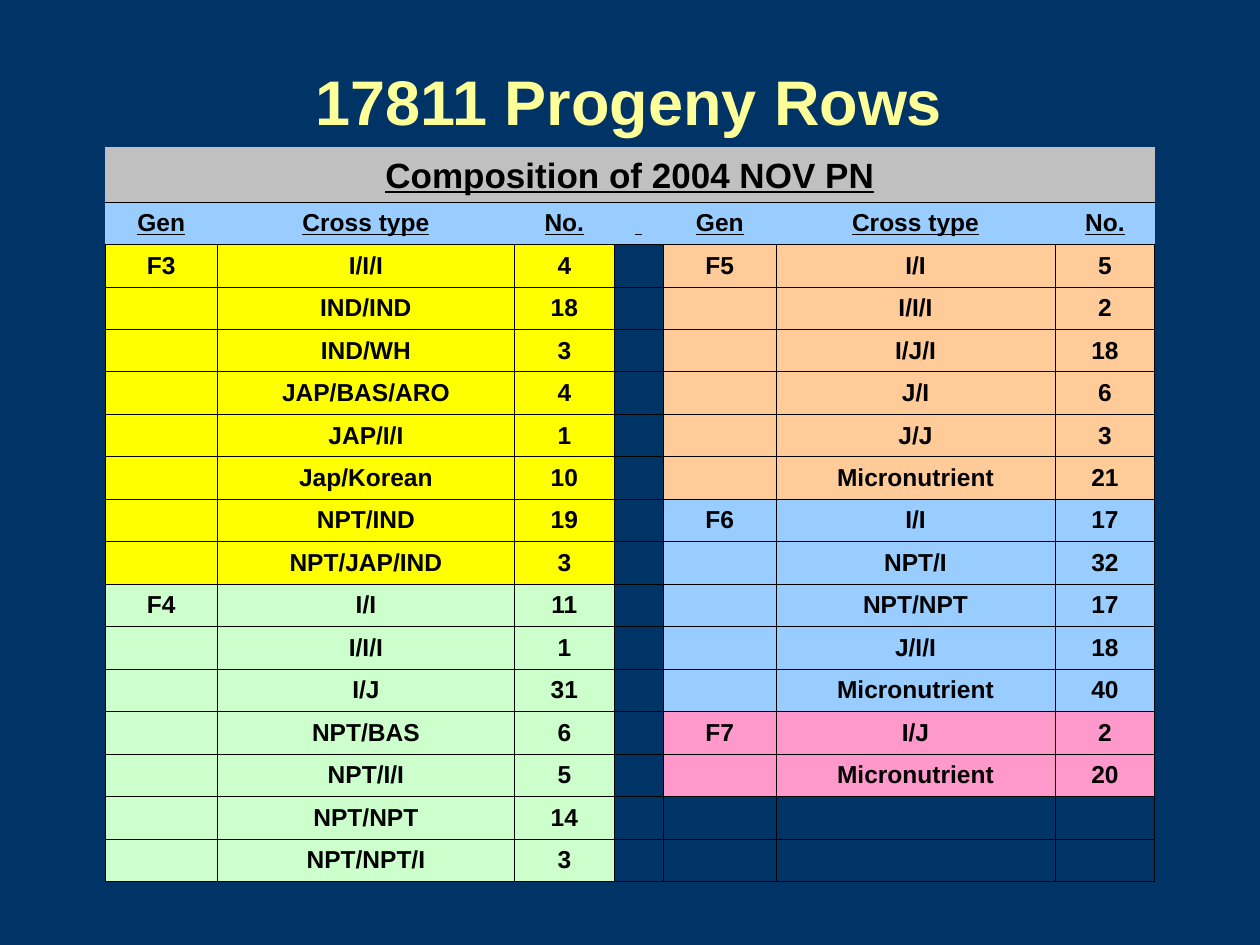
"""Build the slide listing the composition of the 2004 NOV progeny rows."""
from itertools import zip_longest

from lxml.etree import SubElement
from pptx import Presentation
from pptx.dml.color import RGBColor as Color
from pptx.enum.text import MSO_ANCHOR as Anchor, MSO_AUTO_SIZE as AutoSize, PP_ALIGN as Align
from pptx.oxml.ns import qn
from pptx.util import Pt

TITLE = "17811 Progeny Rows"
CAPTION = "Composition of 2004 NOV PN"
HEADINGS = ["Gen", "Cross type", "No."]
LEFT = {
    "F3": [("I/I/I", 4), ("IND/IND", 18), ("IND/WH", 3), ("JAP/BAS/ARO", 4),
           ("JAP/I/I", 1), ("Jap/Korean", 10), ("NPT/IND", 19), ("NPT/JAP/IND", 3)],
    "F4": [("I/I", 11), ("I/I/I", 1), ("I/J", 31), ("NPT/BAS", 6),
           ("NPT/I/I", 5), ("NPT/NPT", 14), ("NPT/NPT/I", 3)],
}
RIGHT = {
    "F5": [("I/I", 5), ("I/I/I", 2), ("I/J/I", 18), ("J/I", 6), ("J/J", 3),
           ("Micronutrient", 21)],
    "F6": [("I/I", 17), ("NPT/I", 32), ("NPT/NPT", 17), ("J/I/I", 18),
           ("Micronutrient", 40)],
    "F7": [("I/J", 2), ("Micronutrient", 20)],
}
THEME = {
    "font": "Arial", "title_size": 36, "caption_size": 20, "cell_size": 14,
    "background": "003366", "title": "FFFF99", "ink": "000000",
    "caption": "C0C0C0", "heading": "99CCFF", "border": 0.45,
    "F3": "FFFF00", "F4": "CCFFCC", "F5": "FFCC99", "F6": "99CCFF", "F7": "FF99CC",
}
TITLE_BOX = (162, 12.5, 383.75, 90)
TABLE_LEFT, TABLE_TOP = 60, 84
COLUMN_WIDTHS = [64.25, 169.75, 57, 28.25, 64.25, 159.5, 57]
CAPTION_HEIGHT, ROW_HEIGHT = 31.5, 24.18
NO_STYLE = "{2D5ABB26-0587-4C30-8999-92F81FD0307C}"
TEXTLESS = ("", None)


def format_font(font, size, color, underline=False):
    values = {"name": THEME["font"], "size": Pt(size), "bold": True, "underline": underline}
    for name, value in values.items():
        setattr(font, name, value)
    font.color.rgb = Color.from_string(color)


def add_borders(cell, sides):
    properties = cell._tc.get_or_add_tcPr()
    for side in sides:
        line = SubElement(properties, qn(f"a:ln{side}"), w=str(Pt(THEME["border"])))
        fill = SubElement(line, qn("a:solidFill"))
        SubElement(fill, qn("a:srgbClr"), val=THEME["ink"])


def fill_cell(cell, text, color, sides="LRTB", size=THEME["cell_size"],
              underline=False, anchor=Anchor.MIDDLE):
    add_borders(cell, sides)
    if color:
        cell.fill.solid()
        cell.fill.fore_color.rgb = Color.from_string(color)
    else:
        cell.fill.background()
    cell.vertical_anchor = anchor
    para = cell.text_frame.paragraphs[0]
    para.alignment = Align.CENTER
    if text:
        span = para.add_run()
        span.text = text
        format_font(span.font, size, THEME["ink"], underline)
    else:
        SubElement(para._p, qn("a:endParaRPr"), sz=str(size * 100))


def side_rows(groups):
    return [[(generation if index == 0 else "", THEME[generation]),
             (cross, THEME[generation]), (str(number), THEME[generation])]
            for generation, crosses in groups.items()
            for index, (cross, number) in enumerate(crosses)]


def add_title(page):
    box = page.shapes.title
    box.left, box.top, box.width, box.height = map(Pt, TITLE_BOX)
    frame = box.text_frame
    frame.auto_size = AutoSize.NONE
    frame.vertical_anchor = Anchor.MIDDLE
    para = frame.paragraphs[0]
    para.alignment = Align.RIGHT
    span = para.add_run()
    span.text = TITLE
    format_font(span.font, THEME["title_size"], THEME["title"])


def add_composition(page):
    rows = [[*left, TEXTLESS, *right] for left, right in zip_longest(
        side_rows(LEFT), side_rows(RIGHT), fillvalue=[TEXTLESS] * len(HEADINGS))]
    heights = [CAPTION_HEIGHT] + [ROW_HEIGHT] * (len(rows) + 1)
    box = page.shapes.add_table(len(heights), len(COLUMN_WIDTHS), Pt(TABLE_LEFT), Pt(TABLE_TOP),
                                Pt(sum(COLUMN_WIDTHS)), Pt(sum(heights)))
    table = box.table
    table.first_row = table.horz_banding = False
    for style in box.element.iter(qn("a:tableStyleId")):
        style.text = NO_STYLE
    for column, width in zip(table.columns, COLUMN_WIDTHS):
        column.width = Pt(width)
    for row, height in zip(table.rows, heights):
        row.height = Pt(height)

    table.cell(0, 0).merge(table.cell(0, len(COLUMN_WIDTHS) - 1))
    fill_cell(table.cell(0, 0), CAPTION, THEME["caption"], "B",
              THEME["caption_size"], True, Anchor.BOTTOM)
    for column, heading in enumerate([*HEADINGS, " ", *HEADINGS]):
        fill_cell(table.cell(1, column), heading, THEME["heading"], "TB", underline=True)
    for row, entries in enumerate(rows, start=2):
        for column, (text, color) in enumerate(entries):
            fill_cell(table.cell(row, column), text, color)


def main():
    deck = Presentation()
    deck.slide_width, deck.slide_height = Pt(720), Pt(540)
    page = deck.slides.add_slide(deck.slide_layouts.get_by_name("Title Only"))
    page.background.fill.solid()
    page.background.fill.fore_color.rgb = Color.from_string(THEME["background"])
    add_title(page)
    add_composition(page)
    deck.save("out.pptx")


if __name__ == "__main__":
    main()
